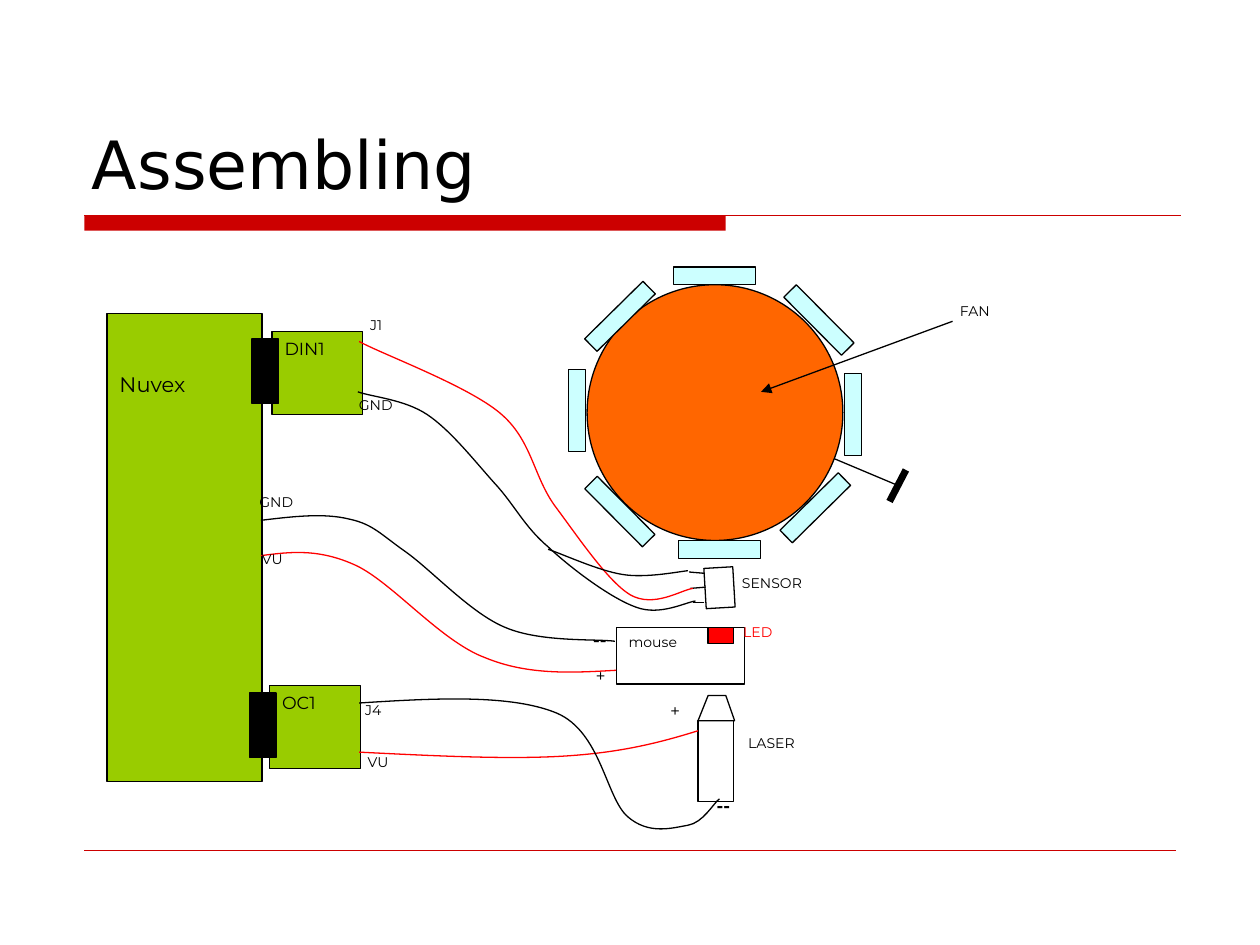
from pptx import Presentation
from pptx.dml.color import RGBColor
from pptx.enum.shapes import MSO_CONNECTOR, MSO_SHAPE
from pptx.enum.text import MSO_ANCHOR, MSO_AUTO_SIZE, PP_ALIGN
from pptx.oxml.ns import qn
from pptx.util import Inches, Pt

RECT, OVAL = MSO_SHAPE.RECTANGLE, MSO_SHAPE.OVAL
STRAIGHT = MSO_CONNECTOR.STRAIGHT
TOP, BOTTOM = MSO_ANCHOR.TOP, MSO_ANCHOR.BOTTOM
LEFT = PP_ALIGN.LEFT
NO_FIT = MSO_AUTO_SIZE.NONE

BLACK = RGBColor(0x00, 0x00, 0x00)
WHITE = RGBColor(0xFF, 0xFF, 0xFF)
RED = RGBColor(0xFF, 0x00, 0x00)
CRIMSON = RGBColor(0xCC, 0x00, 0x00)
GREEN = RGBColor(0x99, 0xCC, 0x00)
ORANGE = RGBColor(0xFF, 0x66, 0x00)
CYAN = RGBColor(0xCC, 0xFF, 0xFF)

TITLE_FONT, BODY_FONT = "DejaVu Sans", "Montserrat"
BLADE_W, BLADE_H = 0.14, 0.65

BLADES = [
    (4.58, 3.26, 0), (6.77, 3.29, 0), (5.71, 4.36, 270), (5.67, 2.19, 270),
    (4.92, 4.06, 315.2), (6.5, 2.54, 315.2), (6.47, 4.03, 225.4), (4.92, 2.51, 225.4),
]
LASER_TIP = [(5.83, 5.72), (5.54, 5.72), (5.62, 5.52), (5.76, 5.52)]
WIRES = [
    (RED, [(2.85, 5.97), (3.45, 6), (4.05, 6.03), (4.5, 6),
           (4.95, 5.97), (5.25, 5.89), (5.54, 5.8)]),
    (BLACK, [(2.85, 5.58), (3.46, 5.54), (4.06, 5.51), (4.42, 5.66),
             (4.77, 5.81), (4.81, 6.33), (4.98, 6.48),
             (5.15, 6.63), (5.34, 6.57), (5.46, 6.55),
             (5.58, 6.53), (5.66, 6.38), (5.71, 6.34)]),
    (RED, [(5.5, 4.67), (5.41, 4.68), (5.19, 4.83), (5, 4.72),
           (4.82, 4.61), (4.58, 4.25), (4.4, 4.01),
           (4.23, 3.77), (4.22, 3.49), (3.97, 3.28),
           (3.71, 3.06), (3.03, 2.81), (2.85, 2.71)]),
    (BLACK, [(5.46, 4.53), (5.37, 4.54), (5.12, 4.59), (4.94, 4.56),
             (4.75, 4.53), (4.47, 4.4), (4.35, 4.36)]),
    (BLACK, [(5.52, 4.77), (5.44, 4.78), (5.24, 4.89), (5.05, 4.82),
             (4.85, 4.75), (4.53, 4.51), (4.35, 4.34),
             (4.16, 4.18), (4.08, 4), (3.92, 3.83),
             (3.76, 3.65), (3.57, 3.41), (3.39, 3.29),
             (3.21, 3.17), (2.95, 3.15), (2.84, 3.11)]),
    (BLACK, [(2.07, 4.13), (2.32, 4.1), (2.57, 4.07), (2.77, 4.12),
             (2.96, 4.16), (3.02, 4.24), (3.22, 4.38),
             (3.43, 4.53), (3.74, 4.87), (4.01, 4.98),
             (4.29, 5.1), (4.74, 5.07), (4.88, 5.09)]),
    (RED, [(2.07, 4.41), (2.3, 4.38), (2.53, 4.35), (2.83, 4.49),
           (3.12, 4.63), (3.5, 5.09), (3.85, 5.22),
           (4.19, 5.36), (4.54, 5.34), (4.89, 5.32)]),
]
LABELS = [
    ("VU", 2.82, 5.93), ("J4", 2.8, 5.52), ("LASER", 5.84, 5.78),
    ("J1", 2.84, 2.46), ("GND", 2.75, 3.1), ("SENSOR", 5.79, 4.51),
    ("VU", 1.98, 4.32), ("GND", 1.96, 3.87), ("FAN", 7.52, 2.35),
]
POLES = [("+", 5.22, 5.51), ("--", 5.59, 6.26), ("+", 4.63, 5.23), ("--", 4.61, 4.94)]


def write(sp, text, size, color=BLACK, bold=False, font=BODY_FONT, anchor=TOP, inset=0.05):
    """Put one left-aligned line of text in a shape."""
    tf = sp.text_frame
    tf.word_wrap, tf.auto_size = True, NO_FIT
    tf.vertical_anchor = anchor
    tf.margin_top = Inches(inset)
    p = tf.paragraphs[0]
    p.text, p.alignment = text, LEFT
    p.font.name, p.font.size, p.font.bold = font, Pt(size), bold
    p.font.color.rgb = color


def paint(sp, fill, line=BLACK):
    """Set the fill and thin outline of a shape; None means no fill."""
    sp.shadow.inherit = False
    if fill is None:
        sp.fill.background()
    else:
        sp.fill.solid()
        sp.fill.fore_color.rgb = fill
    sp.line.color.rgb = line
    sp.line.width = Pt(0.75)


def add_block(s, x, y, w, h, fill, kind=RECT, angle=0):
    """Add an outlined preset shape."""
    sp = s.shapes.add_shape(kind, Inches(x), Inches(y), Inches(w), Inches(h))
    sp.rotation = angle
    paint(sp, fill)
    return sp


def add_label(s, text, x, y, size=8, color=BLACK, bold=False):
    """Add a free-standing label."""
    box = s.shapes.add_textbox(Inches(x), Inches(y), Inches(1.2), Inches(0.36))
    write(box, text, size, color, bold)


def add_line(s, start, end, color=BLACK, width=0.75, arrow=False):
    """Add a straight connector, with an arrowhead at its end if asked."""
    cx = s.shapes.add_connector(STRAIGHT, *map(Inches, start + end))
    cx.line.color.rgb = color
    cx.line.width = Pt(width)
    if arrow:
        ln = cx.line._get_or_add_ln()
        ln.append(ln.makeelement(qn("a:tailEnd"), {"type": "triangle"}))
    sppr = cx._element.spPr
    sppr.append(sppr.makeelement(qn("a:effectLst"), {}))


def add_outline(s, points, fill=None, line=BLACK, close=False):
    """Add a freeform through points given in inches."""
    start, *rest = [(Inches(x), Inches(y)) for x, y in points]
    fb = s.shapes.build_freeform(*start)
    fb.add_line_segments(rest, close=close)
    sp = fb.convert_to_shape()
    paint(sp, fill, line)
    return sp


def add_wire(s, color, points):
    """Add a Bézier curve from a start point and triples of control points."""
    sp = add_outline(s, points, line=color)
    steps = list(sp._element.iter(qn("a:lnTo")))
    for a, b, c in zip(steps[::3], steps[1::3], steps[2::3]):
        a.tag = qn("a:cubicBezTo")
        for step in (b, c):
            a.append(step[0])
            step.getparent().remove(step)


def add_frame(s):
    """Format the title and draw the rules above and below the diagram."""
    bar = add_block(s, 0.67, 1.71, 5.09, 0.12, CRIMSON)
    bar.line.fill.background()
    add_line(s, (0.67, 1.71), (9.37, 1.71), CRIMSON, 1)
    add_line(s, (0.67, 6.75), (9.33, 6.75), CRIMSON, 0.25)
    title = s.shapes.title
    title.left, title.top = Inches(0.63), Inches(0.33)
    title.width, title.height = Inches(8.75), Inches(1.33)
    write(title, "Assembling", 38, font=TITLE_FONT, anchor=BOTTOM)


def add_board(s):
    """Draw the main board with its two plugged-in modules."""
    write(add_block(s, 0.85, 2.49, 1.23, 3.71, GREEN), "Nuvex", 12, inset=0.46)
    for name, x, y in (("DIN1", 2.16, 2.63), ("OC1", 2.14, 5.44)):
        write(add_block(s, x, y, 0.72, 0.66, GREEN), name, 10)
        add_block(s, x - 0.16, y + 0.06, 0.21, 0.51, BLACK)


def add_fan(s):
    """Draw the fan disc, its blades and its handle."""
    add_block(s, 4.66, 2.26, 2.03, 2.03, ORANGE, OVAL)
    for cx, cy, angle in BLADES:
        add_block(s, cx - BLADE_W / 2, cy - BLADE_H / 2, BLADE_W, BLADE_H, CYAN, angle=angle)
    add_line(s, (6.62, 3.64), (7.12, 3.85))
    add_line(s, (7.19, 3.73), (7.06, 3.98), width=4)


def add_devices(s):
    """Draw the laser, the sensor with its pins, and the mouse with its LED."""
    add_block(s, 5.54, 5.72, 0.28, 0.64, WHITE)
    add_outline(s, LASER_TIP, WHITE, close=True)
    add_block(s, 5.55, 4.55, 0.32, 0.23, WHITE, angle=86.6)
    for start, end in (((5.6, 4.66), (5.48, 4.67)), ((5.59, 4.55), (5.47, 4.54)),
                       ((5.59, 4.78), (5.5, 4.78))):
        add_line(s, start, end)
    write(add_block(s, 4.89, 4.98, 1.02, 0.45, WHITE), "mouse", 8)
    add_block(s, 5.62, 4.98, 0.2, 0.13, RED)


def main():
    """Build the slide and save it."""
    prs = Presentation()
    prs.slide_width, prs.slide_height = Inches(10), Inches(7.5)
    s = prs.slides.add_slide(prs.slide_layouts[5])
    add_frame(s)
    add_board(s)
    add_fan(s)
    add_devices(s)
    for color, points in WIRES:
        add_wire(s, color, points)
    for text, x, y in LABELS:
        add_label(s, text, x, y)
    for text, x, y in POLES:
        add_label(s, text, x, y, size=10, bold=text == "--")
    add_label(s, "LED", 5.8, 4.9, color=RED)
    add_line(s, (7.56, 2.55), (6.04, 3.11), arrow=True)
    prs.save("out.pptx")


if __name__ == "__main__":
    main()
